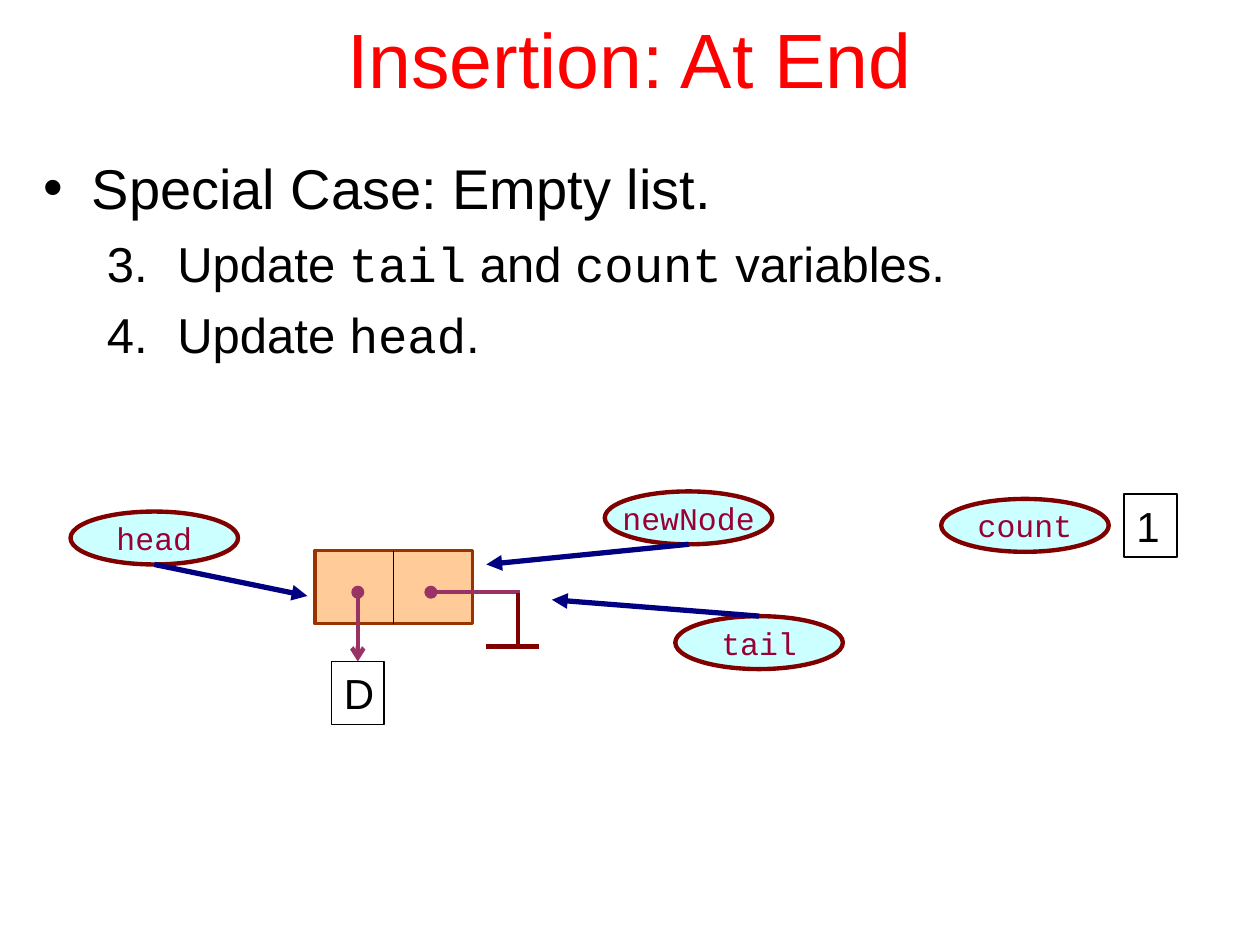
from typing import NamedTuple, Optional

from lxml.etree import SubElement
from pptx import Presentation
from pptx.dml.color import RGBColor
from pptx.enum.shapes import MSO_CONNECTOR as Connector, MSO_SHAPE as Preset
from pptx.enum.text import MSO_ANCHOR as Anchor, PP_ALIGN as Align
from pptx.oxml.ns import qn
from pptx.util import Inches, Pt

COLORS = {
    "title": "FF0000", "text": "000000", "label": "990033",
    "oval": "CCFFFF", "maroon": "800000", "pointer": "000080",
    "node": "FFCC99", "node_edge": "993300", "link": "993366",
}
SANS, MONO = "Arial", "Courier New"
OVAL_WIDTH, OVAL_HEIGHT = 1.33, 0.42
NODE_LEFT, NODE_TOP, NODE_WIDTH, NODE_HEIGHT = 2.5, 4.37, 1.25, 0.58


class Variable(NamedTuple):
    name: str
    left: float
    top: float
    target: Optional[tuple[float, float]] = None


class Line(NamedTuple):
    start: tuple[float, float]
    end: tuple[float, float]
    color: str
    width: float = 2.5
    head: Optional[str] = None
    tail: Optional[str] = None


class Value(NamedTuple):
    text: str
    left: float
    top: float


class Item(NamedTuple):
    runs: list[tuple[str, str]]
    size: int
    indent: float
    hanging: float
    space_before: int
    bullet: tuple[str, dict[str, str]]


VARIABLES = [
    Variable("head", 0.56, 4.06, (2.44, 4.73)),
    Variable("tail", 5.36, 4.89, (4.38, 4.76)),
    Variable("newNode", 4.8, 3.9, (3.86, 4.48)),
    Variable("count", 7.47, 3.96),
]

NODE_MIDDLE = NODE_LEFT + NODE_WIDTH / 2
LINES = [
    Line((NODE_MIDDLE, NODE_TOP), (NODE_MIDDLE, NODE_TOP + NODE_HEIGHT), "text", 0.75),
    Line((2.84, 4.7), (2.84, 5.25), "link", head="oval", tail="arrow"),
    Line((3.42, 4.7), (4.13, 4.7), "link", head="oval"),
    Line((4.11, 4.71), (4.11, 5.13), "maroon"),
    Line((3.86, 5.13), (4.28, 5.13), "maroon"),
]

VALUES = [Value("D", 2.63, 5.25), Value("1", 8.92, 3.92)]

NUMBERED = ("a:buAutoNum", {"type": "arabicPeriod", "startAt": "3"})
ITEMS = [
    Item([("Special Case: Empty list.", SANS)], 32, 0.38, 0.38, 0,
         ("a:buChar", {"char": "•"})),
    Item([("Update ", SANS), ("tail", MONO), (" and ", SANS), ("count", MONO),
          (" variables.", SANS)], 28, 1.06, 0.56, 7, NUMBERED),
    Item([("Update ", SANS), ("head", MONO), (".", SANS)], 28, 1.06, 0.56, 7, NUMBERED),
]


def rgb(name: str) -> RGBColor:
    return RGBColor.from_string(COLORS[name])


def set_font(font, size: float, color: str, face: Optional[str] = None) -> None:
    font.size = Pt(size)
    font.color.rgb = rgb(color)
    if face:
        font.name = face


def add_text_frame(slide, left: float, top: float, width: float, height: float):
    box = slide.shapes.add_textbox(Inches(left), Inches(top), Inches(width), Inches(height))
    box.text_frame.word_wrap = True
    return box.text_frame


def add_box(slide, preset, left: float, top: float, width: float, height: float,
            fill: Optional[str], edge: str, edge_width: float):
    shape = slide.shapes.add_shape(
        preset, Inches(left), Inches(top), Inches(width), Inches(height))
    shape.shadow.inherit = False
    if fill:
        shape.fill.solid()
        shape.fill.fore_color.rgb = rgb(fill)
    else:
        shape.fill.background()
    shape.line.color.rgb = rgb(edge)
    shape.line.width = Pt(edge_width)
    return shape


def add_line(slide, line: Line) -> None:
    connector = slide.shapes.add_connector(
        Connector.STRAIGHT, *(Inches(value) for value in line.start + line.end))
    connector.line.color.rgb = rgb(line.color)
    connector.line.width = Pt(line.width)
    outline = connector.line._get_or_add_ln()
    for tag, kind in (("a:headEnd", line.head), ("a:tailEnd", line.tail)):
        if kind:
            SubElement(outline, qn(tag), type=kind)
    SubElement(connector._element.spPr, qn("a:effectLst"))


def add_variable(slide, variable: Variable) -> None:
    oval = add_box(slide, Preset.OVAL, variable.left, variable.top,
                   OVAL_WIDTH, OVAL_HEIGHT, "oval", "maroon", 2.5)
    frame = oval.text_frame
    frame.word_wrap = False
    frame.vertical_anchor = Anchor.MIDDLE
    paragraph = frame.paragraphs[0]
    paragraph.text = variable.name
    paragraph.alignment = Align.CENTER
    set_font(paragraph.font, 18, "label", MONO)
    if variable.target:
        # The tail pointer leaves from the top of its oval, the others from below
        below = variable.target[1] > variable.top + OVAL_HEIGHT
        start = (variable.left + OVAL_WIDTH / 2,
                 variable.top + (OVAL_HEIGHT if below else 0))
        add_line(slide, Line(start, variable.target, "pointer", 3, tail="triangle"))


def add_value(slide, value: Value) -> None:
    box = add_box(slide, Preset.RECTANGLE, value.left, value.top, 0.42, 0.5,
                  None, "text", 1)
    box.text_frame.vertical_anchor = Anchor.TOP
    paragraph = box.text_frame.paragraphs[0]
    paragraph.text = value.text
    paragraph.alignment = Align.LEFT
    set_font(paragraph.font, 24, "text", SANS)


def fill_item(paragraph, item: Item) -> None:
    properties = paragraph._p.get_or_add_pPr()
    properties.set("marL", str(Inches(item.indent)))
    properties.set("indent", str(-Inches(item.hanging)))
    paragraph.space_before = Pt(item.space_before)
    SubElement(properties, qn("a:buFont"), typeface=SANS)
    tag, attributes = item.bullet
    SubElement(properties, qn(tag), attributes)
    set_font(paragraph.font, item.size, "text")
    for text, face in item.runs:
        run = paragraph.add_run()
        run.text = text
        run.font.name = face


def main() -> None:
    presentation = Presentation()
    presentation.slide_width, presentation.slide_height = Inches(10), Inches(7.5)
    slide = presentation.slides.add_slide(presentation.slide_layouts[6])

    # Title
    frame = add_text_frame(slide, 0.75, -0.17, 8.5, 1.25)
    frame.vertical_anchor = Anchor.MIDDLE
    title = frame.paragraphs[0]
    title.text = "Insertion: At End"
    title.alignment = Align.CENTER
    set_font(title.font, 44, "title", SANS)

    # Steps
    frame = add_text_frame(slide, 0.25, 1.17, 9.5, 2.32)
    for index, item in enumerate(ITEMS):
        fill_item(frame.add_paragraph() if index else frame.paragraphs[0], item)

    # List node, its links and the null sign
    add_box(slide, Preset.RECTANGLE, NODE_LEFT, NODE_TOP, NODE_WIDTH, NODE_HEIGHT,
            "node", "node_edge", 2)
    for line in LINES:
        add_line(slide, line)

    # Variables with their pointers, and the stored values
    for variable in VARIABLES:
        add_variable(slide, variable)
    for value in VALUES:
        add_value(slide, value)

    presentation.save("out.pptx")


if __name__ == "__main__":
    main()
